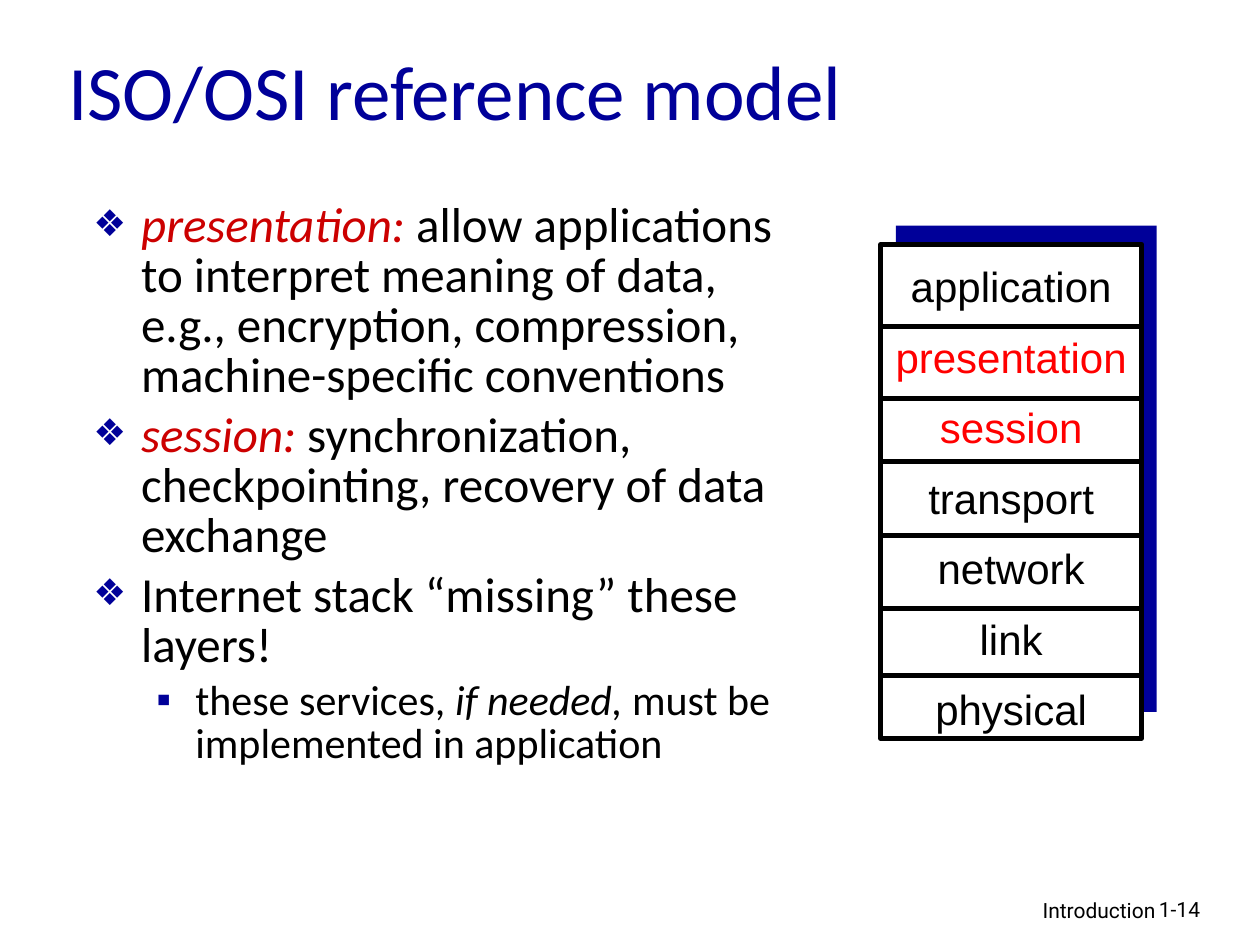
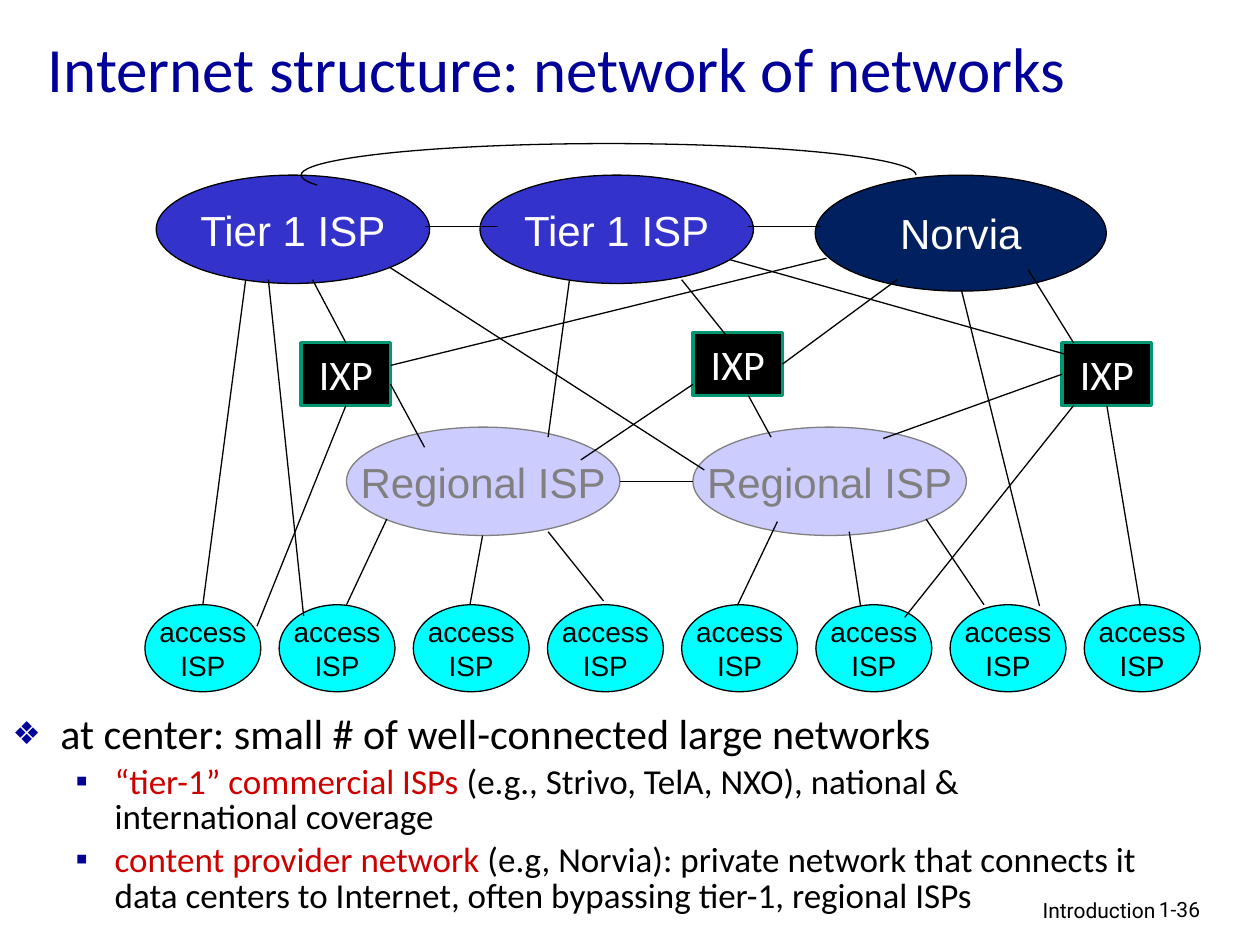
"""Build two lecture slides on network layers and the structure of the Internet."""
from lxml.etree import SubElement
from pptx import Presentation
from pptx.dml.color import RGBColor
from pptx.enum.shapes import MSO_CONNECTOR as Connector, MSO_SHAPE as Preset
from pptx.enum.text import MSO_ANCHOR as Anchor, MSO_AUTO_SIZE as AutoSize, PP_ALIGN as Align
from pptx.oxml.ns import qn
from pptx.util import Inches, Pt

NAVY, RED, BLACK, WHITE, GRAY = "000099", "CC0000", "000000", "FFFFFF", "808080"
BULLETS = [("❖", 0.38, 0.38, 75), ("▪", 0.81, 0.31, 100)]
TOP, LEFT, BOTTOM, RIGHT = range(4)


def color(value):
    return RGBColor.from_string(value)


def place(shape, box):
    shape.left, shape.top, shape.width, shape.height = map(Inches, box)


class Deck:
    def __init__(self):
        self.presentation = Presentation()
        self.presentation.slide_width = Inches(10)
        self.presentation.slide_height = Inches(7.5)
        self.slide = None

    def add_slide(self, title, box, size, number):
        layout = self.presentation.slide_layouts[1]
        self.slide = self.presentation.slides.add_slide(layout)
        shape = self.slide.shapes.title
        place(shape, box)
        frame = shape.text_frame
        frame.auto_size = AutoSize.NONE
        frame.vertical_anchor = Anchor.MIDDLE
        paragraph = frame.paragraphs[0]
        paragraph.alignment = Align.LEFT
        self.run(paragraph, title, size, NAVY)
        self.text((6.1, 7.07, 3.17, 0.31), ["Introduction"], 12, font="Roboto", align=Align.RIGHT)
        self.text((9.1, 7.07, 0.74, 0.3), [number], 12, font="Roboto")

    def run(self, paragraph, text, size, fill=BLACK, font="Calibri", italic=False):
        run = paragraph.add_run()
        run.text = text
        run.font.name = font
        run.font.size = Pt(size)
        run.font.italic = italic
        run.font.color.rgb = color(fill)

    def fill_lines(self, frame, lines, size, fill, font, align):
        for index, line in enumerate(lines):
            paragraph = frame.add_paragraph() if index else frame.paragraphs[0]
            paragraph.alignment = align
            self.run(paragraph, line, size, fill, font)

    def text(self, box, lines, size, fill=BLACK, font="Arial", align=Align.LEFT):
        frame = self.slide.shapes.add_textbox(*map(Inches, box)).text_frame
        frame.word_wrap = True
        self.fill_lines(frame, lines, size, fill, font, align)
        return frame

    def bullets(self, box, sizes, items):
        body = self.slide.placeholders[1]
        place(body, box)
        frame = body.text_frame
        frame.auto_size = AutoSize.NONE
        for index, (level, runs) in enumerate(items):
            paragraph = frame.add_paragraph() if index else frame.paragraphs[0]
            paragraph.level = level
            paragraph.line_spacing = 0.85
            paragraph.space_before = Pt(sizes[level] * 0.2)
            self.mark(paragraph, *BULLETS[level])
            for text, fill, italic in runs:
                self.run(paragraph, text, sizes[level], fill, italic=italic)

    def mark(self, paragraph, symbol, margin, hanging, percent):
        properties = paragraph._p.get_or_add_pPr()
        properties.set("marL", str(Inches(margin)))
        properties.set("indent", str(-Inches(hanging)))
        bullet_color = SubElement(properties, qn("a:buClr"))
        SubElement(bullet_color, qn("a:srgbClr"), val=NAVY)
        SubElement(properties, qn("a:buSzPct"), val=str(percent * 1000))
        SubElement(properties, qn("a:buChar"), char=symbol)

    def shape(self, preset, box, fill=None, outline=None, width=0.75):
        shape = self.slide.shapes.add_shape(preset, *map(Inches, box))
        shape.shadow.inherit = False
        if fill:
            shape.fill.solid()
            shape.fill.fore_color.rgb = color(fill)
        else:
            shape.fill.background()
        if outline:
            shape.line.color.rgb = color(outline)
            shape.line.width = Pt(width)
        else:
            shape.line.fill.background()
        return shape

    def label(self, shape, lines, size, fill, font="Arial"):
        frame = shape.text_frame
        frame.word_wrap = False
        frame.vertical_anchor = Anchor.MIDDLE
        self.fill_lines(frame, lines, size, fill, font, Align.CENTER)

    def ellipse(self, box, lines, fill, text_fill, outline=BLACK, size=24):
        self.label(self.shape(Preset.OVAL, box, fill, outline), lines, size, text_fill)

    def exchange(self, left, top):
        box = self.shape(Preset.RECTANGLE, (left, top, 0.71, 0.5), BLACK, "009771", 2)
        self.label(box, ["IXP"], 24, WHITE, "Calibri")
        return box

    def line(self, start, end, width=0.75):
        joined = [not isinstance(tip[0], (int, float)) for tip in (start, end)]
        points = [(0, 0) if join else tip for tip, join in zip((start, end), joined)]
        line = self.slide.shapes.add_connector(
            Connector.STRAIGHT, *(Inches(value) for point in points for value in point))
        if joined[0]:
            line.begin_connect(*start)
        if joined[1]:
            line.end_connect(*end)
        line.line.color.rgb = color(BLACK)
        line.line.width = Pt(width)
        SubElement(line._element.spPr, qn("a:effectLst"))


def reference_model(deck):
    deck.add_slide("ISO/OSI reference model", (0.44, 0.09, 7.11, 1.25), 44, "1-14")
    deck.bullets((0.64, 1.56, 5.64, 5.08), (28, 24), [
        (0, [("presentation:", RED, True),
             (" allow applications to interpret meaning of data, e.g., encryption, "
              "compression, machine-specific conventions", BLACK, False)]),
        (0, [("session:", RED, True),
             (" synchronization, checkpointing, recovery of data exchange", BLACK, False)]),
        (0, [("Internet stack “missing” these layers!", BLACK, False)]),
        (1, [("these services, ", BLACK, False), ("if needed,", BLACK, True),
             (" must be implemented in application", BLACK, False)]),
    ])
    deck.shape(Preset.RECTANGLE, (7.11, 1.79, 2.07, 3.86), NAVY)
    deck.shape(Preset.RECTANGLE, (6.99, 1.94, 2.07, 3.92), WHITE, BLACK, 3)
    layers = ["application", "presentation", "session", "transport", "network", "link", "physical"]
    frame = deck.text((6.94, 2.13, 2.17, 3.78), layers, 24, align=Align.CENTER)
    for paragraph in frame.paragraphs:
        paragraph.line_spacing = 0.7
        paragraph.space_after = Pt(20.1)
        if paragraph.text in ("presentation", "session"):
            paragraph.runs[0].font.color.rgb = color("FF0000")
    for y in (2.59, 3.16, 3.66, 4.25, 4.83, 5.36):
        deck.line((6.98, y), (9.04, y), 3)


def network_of_networks(deck):
    deck.add_slide("Internet structure: network of networks", (0.28, 0.18, 8.85, 0.71), 36, "1-36")
    deck.bullets((0, 5.63, 9.23, 1.76), (24, 20), [
        (0, [("at center: small # of well-connected large networks", BLACK, False)]),
        (1, [("“tier-1” commercial ISPs ", RED, False),
             ("(e.g., Strivo, TelA, NXO), national & international coverage", BLACK, False)]),
        (1, [("content provider network ", RED, False),
             ("(e.g, Norvia): private network that connects it data centers to Internet, "
              "often bypassing tier-1, regional ISPs", BLACK, False)]),
    ])
    for column in range(8):
        deck.ellipse((1.15 + 1.065 * column, 4.8, 0.92, 0.69), ["access", "ISP"],
                     "00FFFF", BLACK, size=16)
    for left in (2.75, 5.5):
        deck.ellipse((left, 3.39, 2.17, 0.86), ["Regional ISP"], "CCCCFF", GRAY, GRAY)
    for left in (1.24, 3.81):
        deck.ellipse((left, 1.39, 2.17, 0.86), ["Tier 1 ISP"], "3333CC", WHITE)
    deck.ellipse((6.47, 1.39, 2.31, 0.92), ["Norvia"], "002060", WHITE)
    west, middle, east = (deck.exchange(*corner)
                          for corner in ((2.39, 2.72), (5.5, 2.64), (8.43, 2.72)))

    arc = deck.shape(Preset.ARC, (2.39, 1.14, 4.88, 0.5), outline=BLACK)
    arc.adjustments[0] = 106.82
    arc.adjustments[1] = 0

    peer_links = [((3.95, 1.8), (3.37, 1.8)), ((6.52, 1.8), (5.94, 1.8)),
                  ((5.5, 3.82), (4.92, 3.82))]
    tier_links = [((1.95, 2.22), (1.61, 4.8)), ((2.13, 2.22), (2.41, 4.89)),
                  ((4.52, 2.22), (4.35, 3.47)), ((3.09, 2.12), (5.59, 3.73)),
                  ((7.63, 2.3), (8.25, 4.81))]
    regional_links = [((3.07, 4.12), (2.75, 4.8)), ((3.83, 4.25), (3.73, 4.8)),
                      ((4.35, 4.22), (4.79, 4.77)), ((6.17, 4.14), (5.85, 4.81)),
                      ((6.74, 4.22), (6.83, 4.81)), ((7.35, 4.12), (7.81, 4.8))]
    exchange_links = [((2.48, 2.22), (west, TOP)), ((west, BOTTOM), (2.04, 4.97)),
                      ((3.1, 3.05), (3.37, 3.55)), ((6.56, 2.05), (3.1, 2.9)),
                      ((5.41, 2.22), (5.85, 2.77)), ((5.94, 3.14), (6.12, 3.47)),
                      ((5.5, 3.05), (4.61, 3.65)), ((7.12, 2.22), (middle, RIGHT)),
                      ((8.16, 2.14), (8.52, 2.72)), ((5.79, 2.06), (8.45, 2.81)),
                      ((east, LEFT), (7.01, 3.48)), ((east, BOTTOM), (9.05, 4.81)),
                      ((8.52, 3.22), (7.18, 4.9))]
    for start, end in peer_links + tier_links + regional_links + exchange_links:
        deck.line(start, end)


def main():
    deck = Deck()
    reference_model(deck)
    network_of_networks(deck)
    deck.presentation.save("out.pptx")


if __name__ == "__main__":
    main()
